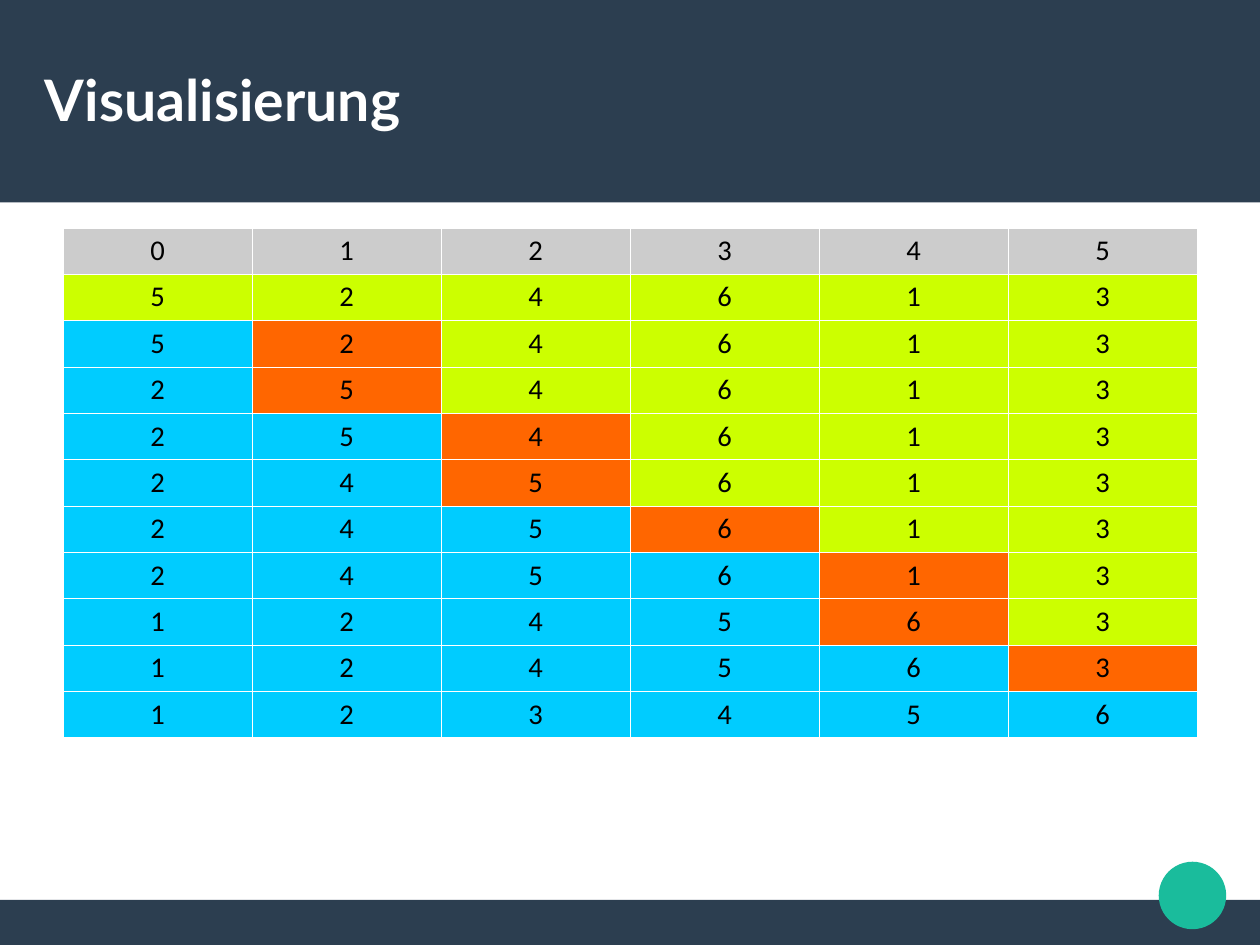
from lxml import etree
from pptx import Presentation
from pptx.dml.color import RGBColor
from pptx.enum.shapes import MSO_SHAPE
from pptx.enum.text import MSO_ANCHOR, MSO_AUTO_SIZE, PP_ALIGN
from pptx.oxml.ns import qn
from pptx.util import Cm, Pt

RECTANGLE, OVAL = MSO_SHAPE.RECTANGLE, MSO_SHAPE.OVAL
LEFT, CENTER = PP_ALIGN.LEFT, PP_ALIGN.CENTER
TOP, MIDDLE = MSO_ANCHOR.TOP, MSO_ANCHOR.MIDDLE
NO_AUTOFIT = MSO_AUTO_SIZE.NONE

COLORS = {
    "band": "2C3E50",
    "accent": "1ABC9C",
    "white": "FFFFFF",
    "text": "000000",
    "header": "CCCCCC",
    "unsorted": "CCFF00",
    "sorted": "00CCFF",
    "current": "FF6600",
}
TITLE_ONLY_LAYOUT = 5
WIDTH, HEIGHT = 28, 21
BORDER_WIDTH = Pt(0.06)

INDICES = "012345"
SORT_STEPS = [
    ("524613", None),
    ("524613", 1),
    ("254613", 1),
    ("254613", 2),
    ("245613", 2),
    ("245613", 3),
    ("245613", 4),
    ("124563", 4),
    ("124563", 5),
    ("123456", 6),
]


def color(name):
    """Return the palette colour with the given name."""
    return RGBColor.from_string(COLORS[name])


def add_run(paragraph, text, font_name, size, color_name, bold=False):
    """Add one formatted run to a paragraph."""
    run = paragraph.add_run()
    run.text = text
    run.font.name = font_name
    run.font.size = Pt(size)
    run.font.bold = bold
    run.font.color.rgb = color(color_name)


def add_plain_shape(slide, kind, left, top, width, height, color_name):
    """Add a filled shape without outline or shadow."""
    shape = slide.shapes.add_shape(kind, Cm(left), Cm(top), Cm(width), Cm(height))
    shape.shadow.inherit = False
    shape.fill.solid()
    shape.fill.fore_color.rgb = color(color_name)
    shape.line.fill.background()


def add_header(slide, left, top, width, height, text):
    """Draw the header band and place the title on it."""
    add_plain_shape(slide, RECTANGLE, left, top, width, height, "band")
    title = slide.shapes.title
    title.element.getparent().append(title.element)
    title.left, title.top = Cm(left + 1), Cm(top + 0.85)
    title.width, title.height = Cm(width - 2), Cm(height - 1.83)
    frame = title.text_frame
    frame.auto_size = NO_AUTOFIT
    frame.word_wrap = True
    frame.vertical_anchor = MIDDLE
    frame.margin_left = frame.margin_right = 0
    frame.margin_top = frame.margin_bottom = 0
    paragraph = frame.paragraphs[0]
    paragraph.alignment = LEFT
    add_run(paragraph, text, "Lato", 36, "white", bold=True)


def add_footer(slide, left, top, width, height):
    """Draw the footer band with the round accent at its right."""
    add_plain_shape(slide, RECTANGLE, left, top, width, height, "band")
    add_plain_shape(slide, OVAL, left + width - 2.25, top - 0.85, 1.5, 1.5, "accent")


def set_borders(cell):
    """Give a table cell thin white borders."""
    properties = cell._tc.get_or_add_tcPr()
    for side in ("lnL", "lnR", "lnT", "lnB"):
        line = etree.SubElement(properties, qn(f"a:{side}"), w=str(int(BORDER_WIDTH)))
        fill = etree.SubElement(line, qn("a:solidFill"))
        etree.SubElement(fill, qn("a:srgbClr"), val=COLORS["white"])


def format_cell(cell, text, fill_name):
    """Fill a table cell and write its centred value."""
    set_borders(cell)
    cell.fill.solid()
    cell.fill.fore_color.rgb = color(fill_name)
    cell.vertical_anchor = TOP
    paragraph = cell.text_frame.paragraphs[0]
    paragraph.alignment = CENTER
    add_run(paragraph, text, "Calibri", 18, "text")


def step_fill(column, current):
    """Return the colour name of a column in one sorting step."""
    if current is None or column > current:
        return "unsorted"
    return "current" if column == current else "sorted"


def add_sort_table(slide, left, top, width, height):
    """Build the table of insertion sort steps."""
    table = slide.shapes.add_table(
        len(SORT_STEPS) + 1, len(INDICES), Cm(left), Cm(top), Cm(width), Cm(height)
    ).table
    table.first_row = table.horz_banding = False
    for column, index in enumerate(INDICES):
        format_cell(table.cell(0, column), index, "header")
    for row, (values, current) in enumerate(SORT_STEPS, start=1):
        for column, value in enumerate(values):
            format_cell(table.cell(row, column), value, step_fill(column, current))


def main():
    """Create the presentation and save it."""
    presentation = Presentation()
    presentation.slide_width, presentation.slide_height = Cm(WIDTH), Cm(HEIGHT)
    layout = presentation.slide_layouts[TITLE_ONLY_LAYOUT]
    slide = presentation.slides.add_slide(layout)
    add_footer(slide, 0, HEIGHT - 1, WIDTH, 1)
    add_header(slide, 0, 0, WIDTH, 4.5, "Visualisierung")
    add_sort_table(slide, 1.4, 5.06, WIDTH - 2.8, 10.31)
    presentation.save("out.pptx")


if __name__ == "__main__":
    main()
